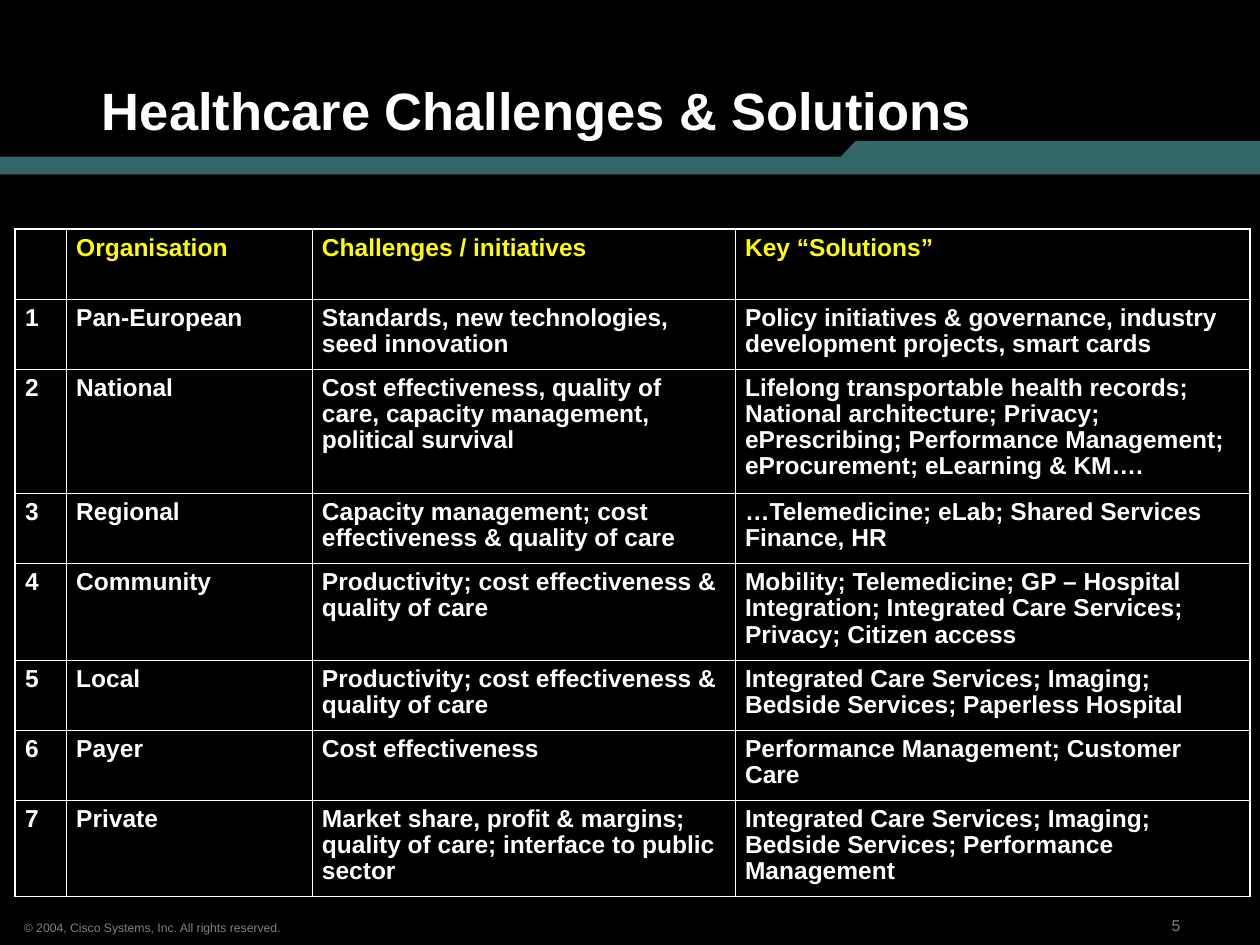
from pptx import Presentation
from pptx.dml.color import RGBColor
from pptx.enum.text import MSO_ANCHOR
from pptx.oxml.ns import qn
from pptx.util import Pt
from lxml import etree

BOTTOM = MSO_ANCHOR.BOTTOM
FONT = "Arial"
WHITE, BLACK, YELLOW, GREY, TEAL = "FFFFFF", "000000", "FFFF00", "808080", "336666"
THIN, THICK = 0.45, 1.08

COL_WIDTHS = [29.3, 140.4, 241.8, 294.2]
ROW_HEIGHTS = [40, 40, 69.7, 40, 53.6, 40, 40, 53.6]
HEADER = ["", "Organisation", "Challenges / initiatives", "Key “Solutions”"]
ORGANISATIONS = [
    ("Pan-European", "Standards, new technologies, seed innovation",
     "Policy initiatives & governance, industry development projects, smart cards"),
    ("National", "Cost effectiveness, quality of care, capacity management, political survival",
     "Lifelong transportable health records; National architecture; Privacy; "
     "ePrescribing; Performance Management; eProcurement; eLearning & KM…."),
    ("Regional", "Capacity management; cost effectiveness & quality of care",
     "…Telemedicine; eLab; Shared Services Finance, HR"),
    ("Community", "Productivity; cost effectiveness & quality of care",
     "Mobility; Telemedicine; GP – Hospital Integration; Integrated Care Services; "
     "Privacy; Citizen access"),
    ("Local", "Productivity; cost effectiveness & quality of care",
     "Integrated Care Services; Imaging; Bedside Services; Paperless Hospital"),
    ("Payer", "Cost effectiveness", "Performance Management; Customer Care"),
    ("Private", "Market share, profit & margins; quality of care; interface to public sector",
     "Integrated Care Services; Imaging; Bedside Services; Performance Management"),
]


def rgb(color):
    return RGBColor.from_string(color)


def set_fill(fill, color):
    fill.solid()
    fill.fore_color.rgb = rgb(color)


def set_text(p, text, size, color, bold=False, spacing=1.0):
    p.text = text
    p.line_spacing = spacing
    p.font.name = FONT
    p.font.size = Pt(size)
    p.font.bold = bold
    p.font.color.rgb = rgb(color)


def add_text(slide, left, top, width, height, text, size, color, **style):
    tf = slide.shapes.add_textbox(Pt(left), Pt(top), Pt(width), Pt(height)).text_frame
    tf.word_wrap = True
    tf.vertical_anchor = BOTTOM
    tf.margin_left, tf.margin_right = Pt(6.5), 0
    tf.margin_top = tf.margin_bottom = Pt(3)
    set_text(tf.paragraphs[0], text, size, color, **style)


def add_band(slide, points, color):
    builder = slide.shapes.build_freeform(Pt(points[0][0]), Pt(points[0][1]))
    builder.add_line_segments([(Pt(x), Pt(y)) for x, y in points[1:]], close=True)
    sp = builder.convert_to_shape()
    sp.shadow.inherit = False
    set_fill(sp.fill, color)
    sp.line.fill.background()


def set_borders(cell, widths):
    """Draw the cell sides; borders come before the fill in tcPr."""
    tcPr = cell._tc.get_or_add_tcPr()
    for i, (side, width) in enumerate(widths.items()):
        ln = etree.Element(qn(f"a:ln{side}"), w=str(Pt(width)))
        solid = etree.SubElement(ln, qn("a:solidFill"))
        etree.SubElement(solid, qn("a:srgbClr"), val=WHITE)
        tcPr.insert(i, ln)


def add_grid(slide, left, top, rows):
    n_rows, n_cols = len(rows), len(COL_WIDTHS)
    table = slide.shapes.add_table(n_rows, n_cols, Pt(left), Pt(top),
                                   Pt(sum(COL_WIDTHS)), Pt(sum(ROW_HEIGHTS))).table
    for col, width in zip(table.columns, COL_WIDTHS):
        col.width = Pt(width)
    for row, height in zip(table.rows, ROW_HEIGHTS):
        row.height = Pt(height)
    for i, texts in enumerate(rows):
        for j, text in enumerate(texts):
            cell = table.cell(i, j)
            cell.margin_left = cell.margin_right = Pt(5.7)
            cell.margin_top = cell.margin_bottom = Pt(3.6)
            set_fill(cell.fill, BLACK)
            set_text(cell.text_frame.paragraphs[0], text, 14,
                     WHITE if i else YELLOW, bold=True, spacing=0.95)
            # The outer frame is heavier than the inner lines
            outer = {"L": j == 0, "R": j == n_cols - 1, "T": i == 0, "B": i == n_rows - 1}
            set_borders(cell, {s: THICK if edge else THIN for s, edge in outer.items()})


def main():
    prs = Presentation()
    prs.slide_width, prs.slide_height = Pt(720), Pt(540)
    slide = prs.slides.add_slide(prs.slide_layouts[6])
    set_fill(slide.background.fill, BLACK)

    # Stepped band under the title
    add_band(slide, [(0, 99.6), (0, 89.5), (480.5, 89.5), (489, 80.5),
                     (720, 80.5), (720, 99.6)], TEAL)

    # Footer
    add_text(slide, 663, 520, 54, 17, "5", 9, GREY)
    add_text(slide, 7.2, 522, 160, 15,
             "© 2004, Cisco Systems, Inc. All rights reserved.", 7, GREY)

    # Title
    add_text(slide, 51.8, 18, 641.5, 66, "Healthcare Challenges & Solutions", 30, WHITE,
             bold=True, spacing=0.9)

    # Numbered organisations
    numbered = [(str(n), *org) for n, org in enumerate(ORGANISATIONS, 1)]
    add_grid(slide, 8.6, 131, [HEADER] + numbered)

    prs.save("out.pptx")


if __name__ == "__main__":
    main()
